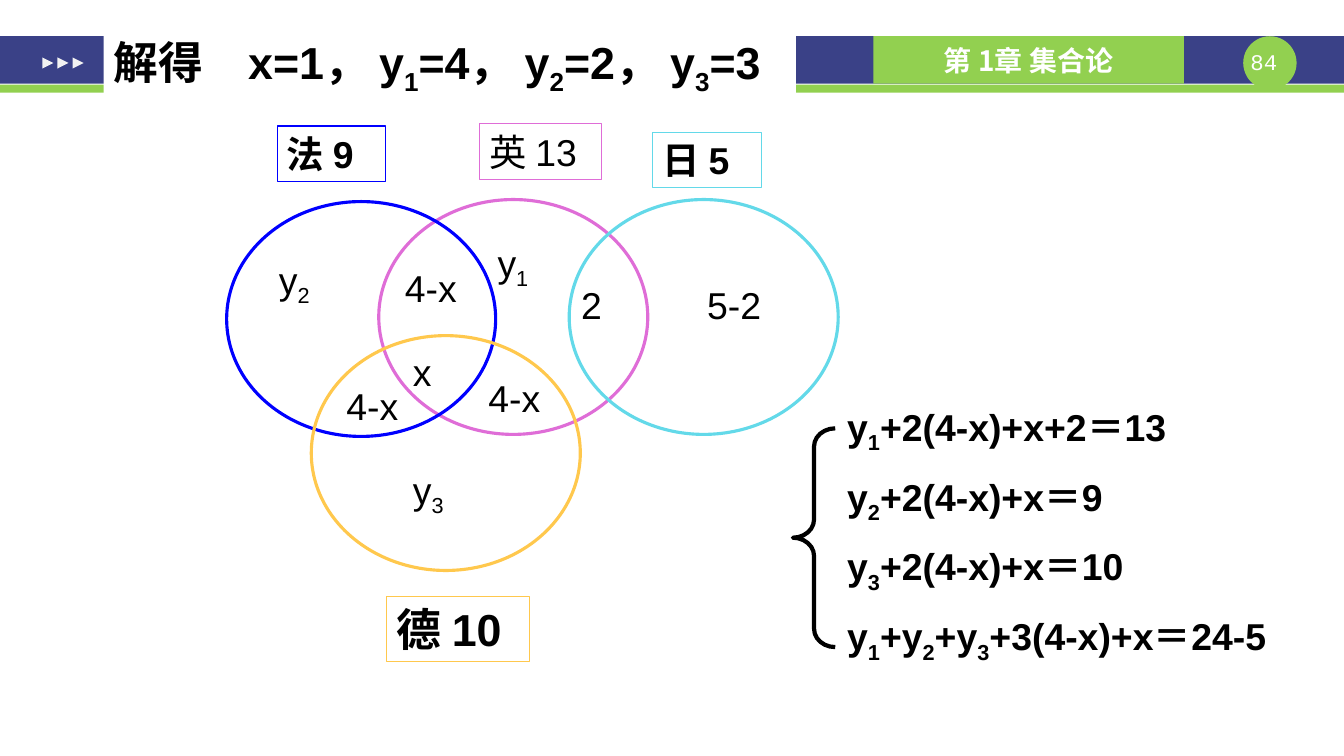
from dataclasses import dataclass
from lxml import etree
from pptx import Presentation
from pptx.dml.color import RGBColor
from pptx.enum.shapes import MSO_SHAPE as SHAPE
from pptx.enum.text import MSO_ANCHOR as ANCHOR, PP_ALIGN as ALIGN
from pptx.oxml.ns import qn
from pptx.util import Inches, Pt


@dataclass(frozen=True)
class Theme:
    navy: str = "3A4187"
    green: str = "92D050"
    white: str = "FFFFFF"
    arrow: str = "F2F2F2"
    black: str = "000000"
    french: str = "0000FF"
    english: str = "DF6DD7"
    german: str = "FFC84D"
    japanese: str = "63D9E9"
    font: str = "Arial"
    cjk: str = "Noto Sans CJK SC"
    mono: str = "Courier New"
    title: float = 32
    body: float = 26.7
    chapter: float = 20
    page: float = 16


T = Theme()


def add_shape(slide, kind, box, fill=None, line=None, weight=0.75):
    sp = slide.shapes.add_shape(kind, *(Inches(v) for v in box))
    sp.shadow.inherit = False
    if fill:
        sp.fill.solid()
        sp.fill.fore_color.rgb = RGBColor.from_string(fill)
    else:
        sp.fill.background()
    if line:
        sp.line.color.rgb = RGBColor.from_string(line)
        sp.line.width = Pt(weight)
    else:
        sp.line.fill.background()
    return sp


def write(sp, lines, size=T.body, bold=False, color=T.black, font=T.font,
          align=ALIGN.LEFT, anchor=ANCHOR.TOP, gap=0):
    """Fill a shape with lines; the character after each "_" is a subscript."""
    tf = sp.text_frame
    tf.word_wrap = True
    tf.vertical_anchor = anchor
    for i, line in enumerate(lines):
        p = tf.add_paragraph() if i else tf.paragraphs[0]
        p.alignment = align
        if i:
            p.space_before = Pt(gap)
        head, *rest = line.split("_")
        pieces = [(head, False)]
        for part in rest:
            pieces += [(part[0], True), (part[1:], False)]
        for text, lowered in pieces:
            if not text:
                continue
            r = p.add_run()
            r.text = text
            r.font.size, r.font.bold, r.font.name = Pt(size), bold, font
            r.font.color.rgb = RGBColor.from_string(color)
            rPr = r._r.get_or_add_rPr()
            etree.SubElement(rPr, qn("a:ea")).set("typeface", T.cjk)
            if lowered:
                rPr.set("baseline", "-25000")


def add_text(slide, box, lines, **style):
    sp = slide.shapes.add_textbox(*(Inches(v) for v in box))
    write(sp, lines, **style)
    return sp


def header(slide, box):
    x, y, w, h = box
    # Bands
    add_shape(slide, SHAPE.RECTANGLE, (x, y, w, 0.47), T.navy)
    add_shape(slide, SHAPE.RECTANGLE, (x, y + h - 0.08, w, 0.08), T.green)
    # Page number
    add_shape(slide, SHAPE.OVAL, (x + 12.34, y, 0.53, 0.53), T.green)
    number = add_text(slide, (x + 12.28, y + 0.12, 0.53, 0.27), ["84"], size=T.page,
                      color=T.white, font=T.mono, align=ALIGN.CENTER)
    tf = number.text_frame
    tf.margin_left = tf.margin_right = tf.margin_top = tf.margin_bottom = 0
    # Chapter name
    chapter = add_shape(slide, SHAPE.RECTANGLE, (x + 8.67, y, 3.08, 0.47), T.green)
    write(chapter, ["第 1章 集合论"], size=T.chapter, bold=True, color=T.white,
          font=T.cjk, align=ALIGN.CENTER, anchor=ANCHOR.MIDDLE)
    # Arrows
    for i in range(3):
        arrow = add_shape(slide, SHAPE.ISOSCELES_TRIANGLE,
                          (x + 0.42 + 0.15 * i, y + 0.21, 0.11, 0.11), T.arrow)
        arrow.rotation = 90


def solution(slide, box):
    sp = add_shape(slide, SHAPE.RECTANGLE, box, T.white)
    write(sp, ["解得　x=1， y_1=4， y_2=2， y_3=3"], size=T.title, bold=True)


def venn(slide, box):
    x, y = box[:2]
    # Each language: circle corner, label box, label text, size, bold
    languages = [
        (T.english, (1.51, 0), (2.51, -0.75, 1.21, 0.55), "英 13", T.body, False),
        (T.french, (0, 0.02), (0.5, -0.73, 1.08, 0.55), "法 9", T.body, True),
        (T.german, (0.84, 1.35), (1.59, 3.94, 1.42, 0.64), "德 10", T.title, True),
        (T.japanese, (3.4, 0), (4.23, -0.67, 1.08, 0.55), "日 5", T.body, True),
    ]
    for color, (cx, cy), (lx, ly, lw, lh), name, size, bold in languages:
        add_shape(slide, SHAPE.OVAL, (x + cx, y + cy, 2.67, 2.33), line=color, weight=2.25)
        label = add_shape(slide, SHAPE.RECTANGLE, (x + lx, y + ly, lw, lh), line=color)
        write(label, [name], size=size, bold=bold)
    # Region counts
    counts = [
        ("4-x", 2.5, 1.69), ("4-x", 1.67, 0.6), ("4-x", 1.09, 1.77),
        ("x", 1.75, 1.43), ("y_2", 0.42, 0.52), ("y_1", 2.59, 0.35),
        ("y_3", 1.75, 2.6), ("2", 3.42, 0.77), ("5-2", 4.67, 0.77),
    ]
    for text, dx, dy in counts:
        add_text(slide, (x + dx, y + dy, 0.83, 0.55), [text])


def equations(slide, box):
    x, y, w, h = box
    brace = add_shape(slide, SHAPE.LEFT_BRACE, (x, y + 0.29, 0.42, 2.17),
                      T.white, T.black, 3)
    brace.adjustments[0] = 0.43
    add_text(slide, (x + 0.44, y, w - 0.44, h), [
        "y_1+2(4-x)+x+2＝13",
        "y_2+2(4-x)+x＝9",
        "y_3+2(4-x)+x＝10",
        "y_1+y_2+y_3+3(4-x)+x＝24-5",
    ], bold=True, gap=T.body / 2)


def main():
    prs = Presentation()
    prs.slide_width, prs.slide_height = Inches(13.34), Inches(7.5)
    slide = prs.slides.add_slide(prs.slide_layouts[6])
    header(slide, (0, 0.36, 13.34, 0.56))
    # The white title panel lies under the diagram and holds two lines
    solution(slide, (1.03, 0.3, 6.87, 1.3))
    venn(slide, (2.25, 1.98, 6.07, 4.58))
    equations(slide, (7.87, 3.96, 5.19, 2.57))
    prs.save("out.pptx")


if __name__ == "__main__":
    main()
